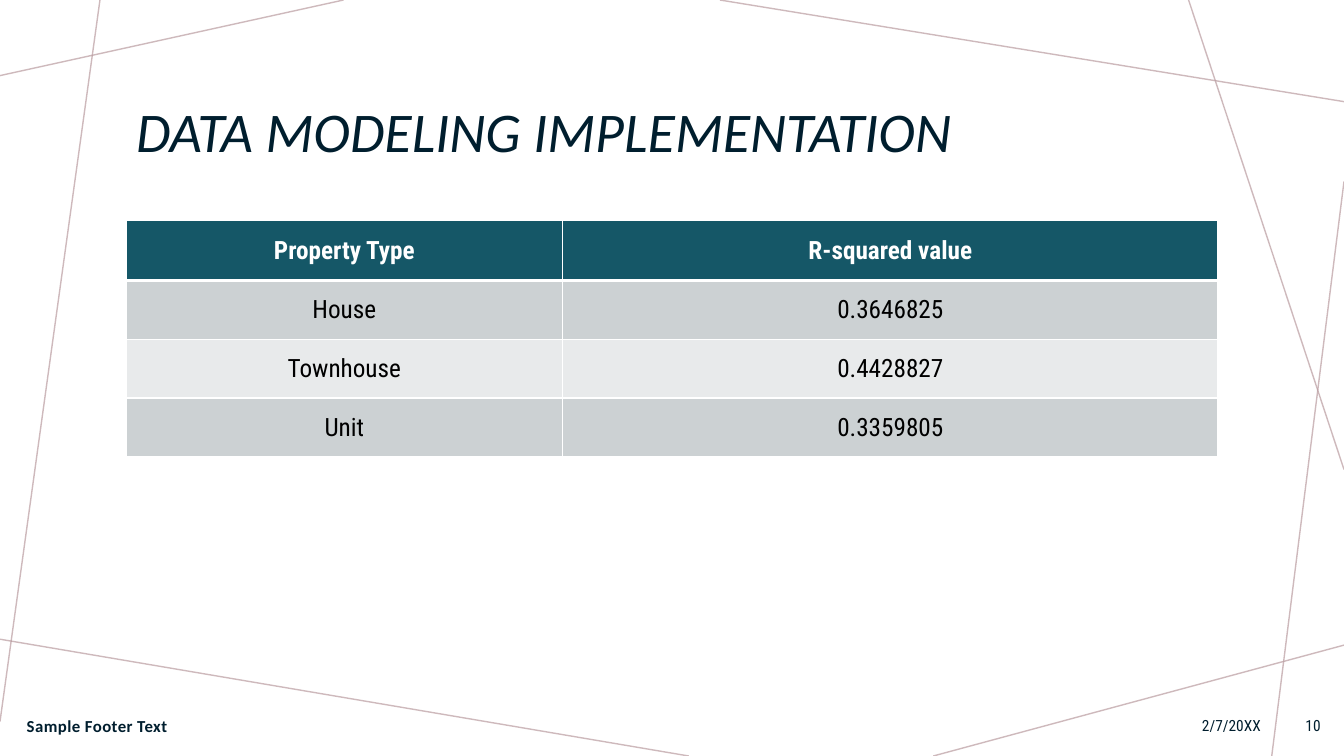
import lxml.etree
import pptx
import pptx.dml.color
import pptx.enum.text
import pptx.oxml
import pptx.oxml.ns
import pptx.util

COLORS = {
    "ink": "001E2E",
    "white": "FFFFFF",
    "black": "000000",
    "header": "155767",
    "band_dark": "CCD1D3",
    "band_light": "E8EAEB",
    "line": "BA9CA0",
}
ALIGN = pptx.enum.text.PP_ALIGN
MIDDLE = pptx.enum.text.MSO_ANCHOR.MIDDLE

# Ends of the background lines, as (column, row) pairs
BACKGROUND_LINES = [
    ((4.09, 0), (0, 0.9)),
    ((1.19, 0), (0, 8.59)),
    ((8.2, 9), (0, 7.61)),
    ((16, 7.68), (11.11, 9)),
    ((16, 2.16), (15.14, 9)),
    ((16, 5.59), (14.15, 0)),
    ((16, 1.21), (8.57, 0)),
]
R_SQUARED = [
    ("Property Type", "R-squared value"),
    ("House", "0.3646825"),
    ("Townhouse", "0.4428827"),
    ("Unit", "0.3359805"),
]


def color(name):
    return pptx.dml.color.RGBColor.from_string(COLORS[name])


class Page:
    """A slide on a grid of 16 columns by 9 rows."""

    heading_font = "Calibri"
    body_font = "Roboto Condensed"

    def __init__(self, deck):
        self.slide = deck.slides.add_slide(deck.slide_layouts[5])
        self.column = deck.slide_width / 16
        self.row = deck.slide_height / 9

    def place(self, left, top, width, height):
        return (round(left * self.column), round(top * self.row),
                round(width * self.column), round(height * self.row))

    def style(self, paragraph, font, size, ink="ink", align=ALIGN.LEFT, bold=False):
        paragraph.alignment = align
        paragraph.font.name = font
        paragraph.font.size = pptx.util.Pt(size)
        paragraph.font.bold = bold
        paragraph.font.color.rgb = color(ink)

    def line(self, start, end):
        connector = self.slide.shapes.add_connector(
            pptx.enum.shapes.MSO_CONNECTOR.STRAIGHT,
            *self.place(*start, *end))
        connector.line.width = pptx.util.Pt(1)
        connector.line.color.rgb = color("line")
        properties = connector._element.spPr
        shade = properties.find(".//" + pptx.oxml.ns.qn("a:srgbClr"))
        lxml.etree.SubElement(shade, pptx.oxml.ns.qn("a:alpha"), val="70000")
        lxml.etree.SubElement(properties, pptx.oxml.ns.qn("a:effectLst"))

    def title(self, text, *area):
        title = self.slide.shapes.title
        title.left, title.top, title.width, title.height = self.place(*area)
        title.text_frame.text = text
        title.text_frame.vertical_anchor = MIDDLE
        paragraph = title.text_frame.paragraphs[0]
        paragraph.line_spacing = 0.9
        self.style(paragraph, self.heading_font, 40)
        paragraph.font.italic = True

    def text(self, text, area, font, size, align=ALIGN.LEFT, bold=False, spacing=0):
        """Add one line of text; spacing is in hundredths of a point."""
        box = self.slide.shapes.add_textbox(*self.place(*area))
        frame = box.text_frame
        frame.word_wrap = True
        frame.vertical_anchor = MIDDLE
        frame.text = text
        paragraph = frame.paragraphs[0]
        self.style(paragraph, font, size, align=align, bold=bold)
        if spacing:
            paragraph.runs[0].font._element.set("spc", str(spacing))

    def border(self, cell, side, ink, width):
        edge = lxml.etree.SubElement(
            cell._tc.get_or_add_tcPr(), pptx.oxml.ns.qn("a:ln" + side),
            w=str(pptx.util.Pt(width)))
        fill = lxml.etree.SubElement(edge, pptx.oxml.ns.qn("a:solidFill"))
        lxml.etree.SubElement(fill, pptx.oxml.ns.qn("a:srgbClr"), val=COLORS[ink])

    def table(self, records, left, top, widths, row_height):
        area = self.place(left, top, sum(widths), row_height * len(records))
        table = self.slide.shapes.add_table(len(records), len(widths), *area).table
        for column, width in zip(table.columns, widths):
            column.width = round(width * self.column)
        for index, record in enumerate(records):
            for position, text in enumerate(record):
                self.cell(table.cell(index, position), text, index)

    def cell(self, cell, text, index):
        header = index == 0
        edges = {
            "L": ("white", 1),
            "R": ("white", 1),
            "T": ("header", 0.75) if header else ("white", 3 if index == 1 else 1),
            "B": ("white", 3 if header else 1),
        }
        for side, (ink, width) in edges.items():
            self.border(cell, side, ink, width)
        band = "band_dark" if index % 2 else "band_light"
        cell.fill.solid()
        cell.fill.fore_color.rgb = color("header" if header else band)
        cell.vertical_anchor = MIDDLE
        cell.text = text
        self.style(cell.text_frame.paragraphs[0], self.body_font, 18,
                   "white" if header else "black", ALIGN.CENTER, header)


def main():
    deck = pptx.Presentation()
    deck.slide_width = pptx.util.Inches(13.33)
    deck.slide_height = pptx.util.Inches(7.5)
    page = Page(deck)
    for start, end in BACKGROUND_LINES:
        page.line(start, end)
    page.title("DATA MODELING IMPLEMENTATION", 1.5, 0.7, 13, 1.81)
    page.table(R_SQUARED, 1.5, 2.64, (5.2, 7.8), 0.7)
    page.text("Sample Footer Text", (0.2, 8.4, 5.9, 0.48),
              page.heading_font, 12, bold=True, spacing=30)
    page.text("2/7/20XX", (9.62, 8.4, 5.51, 0.48),
              page.body_font, 11, ALIGN.RIGHT)
    page.text("10", (15.23, 8.4, 0.61, 0.48),
              page.body_font, 11, ALIGN.RIGHT)
    deck.save("out.pptx")


if __name__ == "__main__":
    main()
